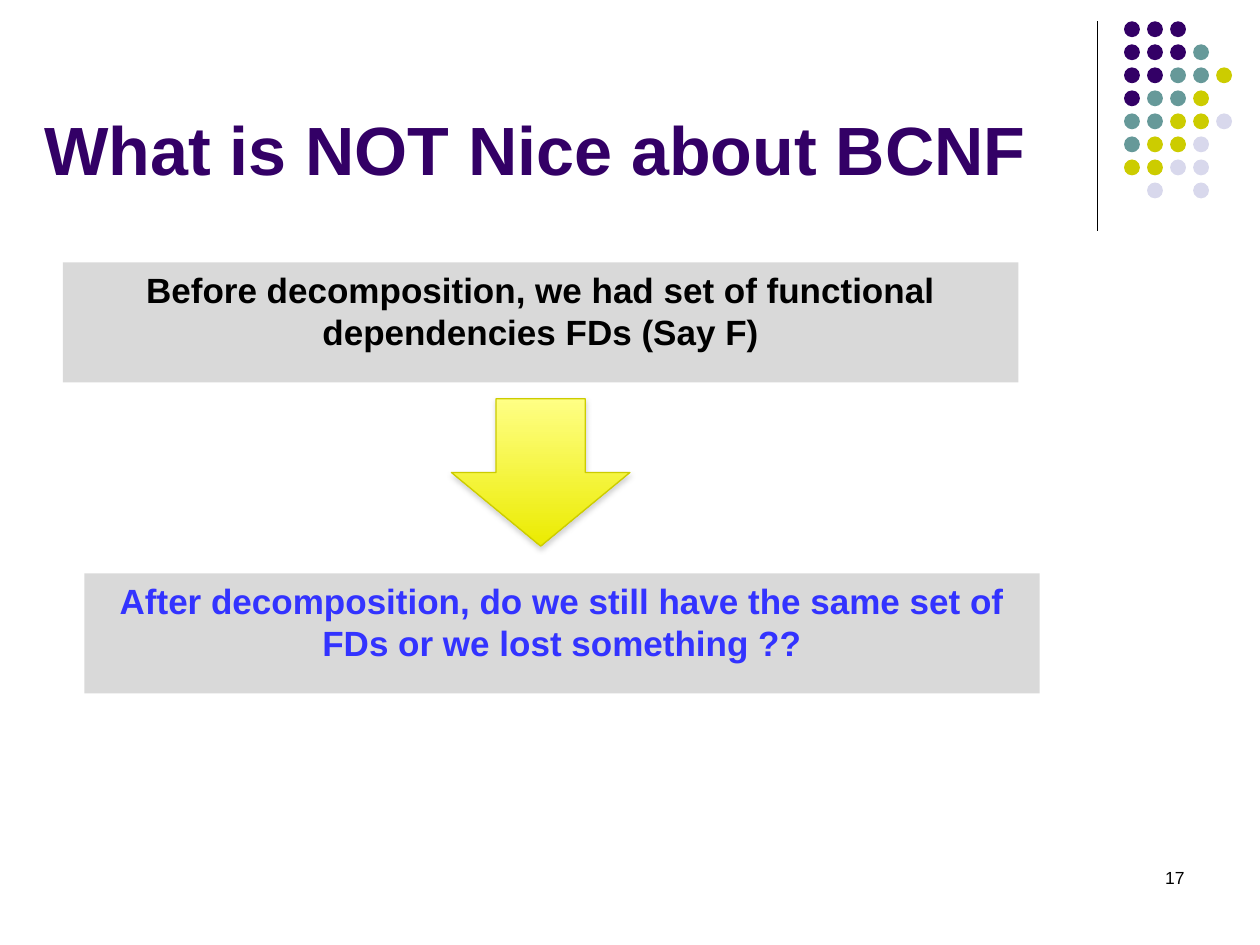
from lxml.etree import SubElement
from pptx import Presentation
from pptx.dml.color import RGBColor
from pptx.enum.shapes import MSO_CONNECTOR, MSO_SHAPE
from pptx.enum.text import MSO_ANCHOR, PP_ALIGN
from pptx.oxml.ns import qn
from pptx.util import Cm, Pt


def rgb(value):
    return RGBColor.from_string(value)


def add_text(sp, text, size, color, bold, align, anchor=MSO_ANCHOR.TOP):
    tf = sp.text_frame
    tf.word_wrap = True
    tf.vertical_anchor = anchor
    p = tf.paragraphs[0]
    p.alignment = align
    r = p.add_run()
    r.text = text
    r.font.name = "Arial"
    r.font.size = Pt(size)
    r.font.bold = bold
    r.font.color.rgb = rgb(color)
    return tf


prs = Presentation()
prs.slide_width = Cm(25.4)
prs.slide_height = Cm(19.05)
s = prs.slides.add_slide(prs.slide_layouts[6])

line = s.shapes.add_connector(MSO_CONNECTOR.STRAIGHT, Cm(22.12), Cm(0.43), Cm(22.12), Cm(4.65))
line.line.color.rgb = rgb("000000")
line.line.width = Pt(0.75)
SubElement(line._element.spPr, qn("a:effectLst"))

dot_colors = {"P": "330066", "T": "669999", "Y": "CCCC00", "L": "D8D8EC"}
dot_rows = ["PPP", "PPPT", "PPTTY", "PTTY", "TTYYL", "TYYL", "YYLL", " L L"]
pitch = 3.25 / 7
dots = s.shapes.add_group_shape()
for row, keys in enumerate(dot_rows):
    for col, key in enumerate(keys):
        if key == " ":
            continue
        sp = dots.shapes.add_shape(MSO_SHAPE.OVAL, Cm(22.66 + col * pitch), Cm(0.43 + row * pitch),
                                   Cm(0.32), Cm(0.32))
        sp.shadow.inherit = False
        sp.fill.solid()
        sp.fill.fore_color.rgb = rgb(dot_colors[key])
        sp.line.fill.background()

title = s.shapes.add_textbox(Cm(0.64), Cm(0.33), Cm(20.95), Cm(3.6))
add_text(title, "What is NOT Nice about BCNF", 39, "330066", True, PP_ALIGN.LEFT, MSO_ANCHOR.BOTTOM)

boxes = [
    (1.27, 5.29, "000000", "Before decomposition, we had set of functional dependencies FDs (Say F)"),
    (1.7, 11.56, "3333FF", "After decomposition, do we still have the same set of FDs or we lost something ??"),
]
for left, top, color, text in boxes:
    sp = s.shapes.add_shape(MSO_SHAPE.RECTANGLE, Cm(left), Cm(top), Cm(19.26), Cm(2.42))
    sp.shadow.inherit = False
    sp.fill.solid()
    sp.fill.fore_color.rgb = rgb("D9D9D9")
    sp.line.fill.background()
    add_text(sp, text, 20, color, True, PP_ALIGN.CENTER)

arrow = s.shapes.add_shape(MSO_SHAPE.DOWN_ARROW, Cm(9.1), Cm(8.04), Cm(3.6), Cm(2.97))
arrow.fill.gradient()
arrow.fill.gradient_angle = 270
for stop, color in zip(arrow.fill.gradient_stops, ["FFFF85", "EBEB00"]):
    stop.color.rgb = rgb(color)
arrow.line.color.rgb = rgb("CCCC00")
arrow.line.width = Pt(0.75)
arrow.shadow.inherit = False
effects = arrow._element.spPr.find(qn("a:effectLst"))
shadow = SubElement(effects, qn("a:outerShdw"), blurRad=str(Pt(3.1)), dist=str(Pt(1.8)),
                    dir="5400000", rotWithShape="0")
shade = SubElement(shadow, qn("a:srgbClr"), val="808080")
SubElement(shade, qn("a:alpha"), val="35000")

number = s.shapes.add_textbox(Cm(18.21), Cm(17.35), Cm(5.92), Cm(1.27))
add_text(number, "17", 10, "000000", False, PP_ALIGN.RIGHT)

prs.save("out.pptx")
